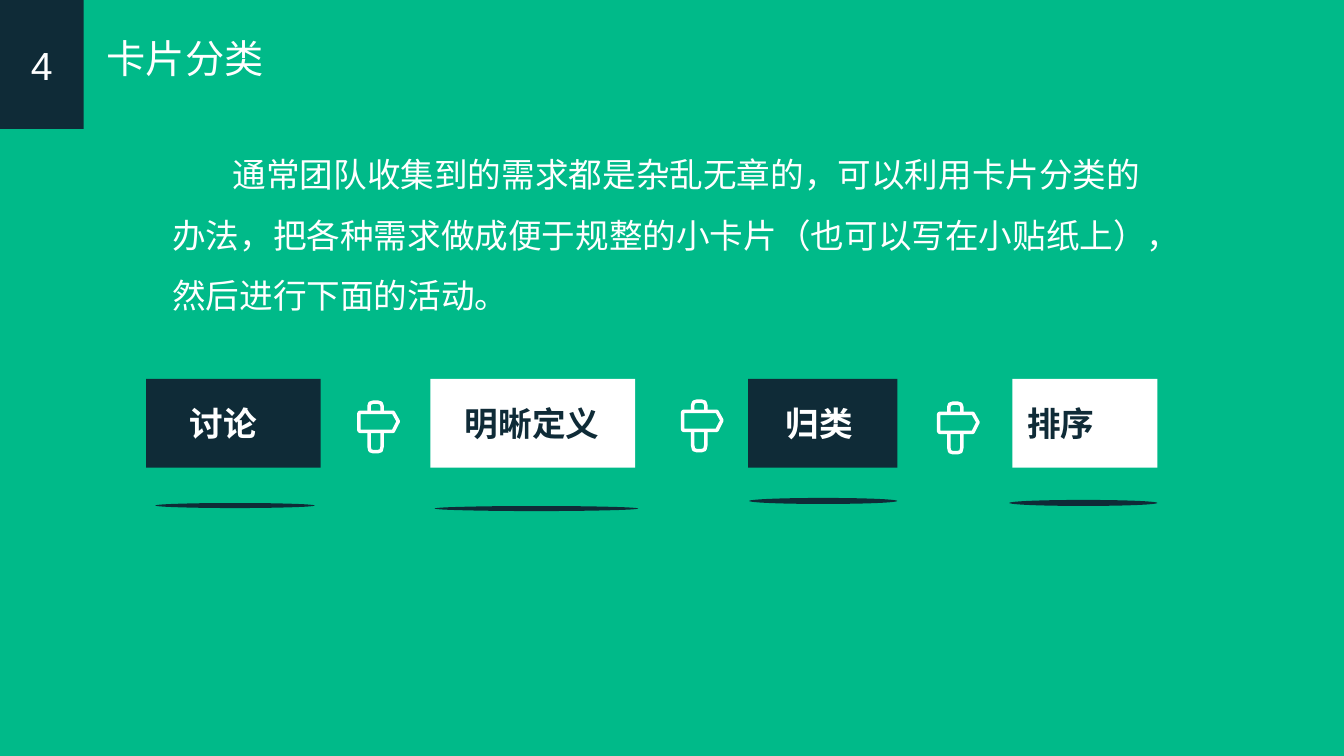
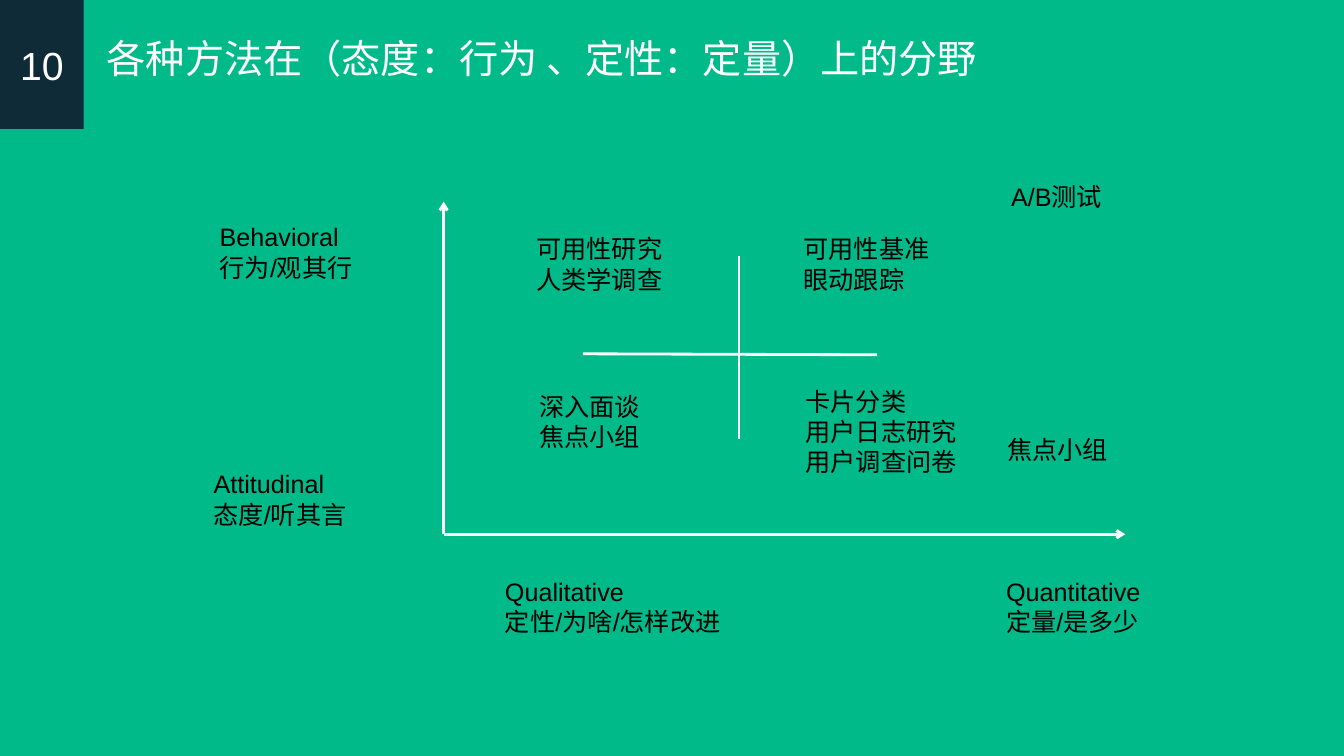
from dataclasses import dataclass

from pptx import Presentation, util as u
from pptx.dml.color import RGBColor as Rgb
from pptx.enum import shapes as es, text as et
from pptx.oxml.ns import qn
from lxml import etree


@dataclass(frozen=True)
class Theme:
    back: Rgb = Rgb(0x00, 0xBA, 0x89)
    dark: Rgb = Rgb(0x0F, 0x2B, 0x37)
    white: Rgb = Rgb(0xFF, 0xFF, 0xFF)
    black: Rgb = Rgb(0, 0, 0)
    font: str = "Arial"
    head: int = 28
    body: int = 24
    note: int = 18
    line: float = 2


T = Theme()
IN = u.Inches
KIND = es.MSO_SHAPE

# Content: heading number, title
SORT = ("4", "卡片分类", 3.57)
MAP = ("10", "各种方法在（态度：行为 、定性：定量）上的分野", 9.38)

INTRO = ("通常团队收集到的需求都是杂乱无章的，可以利用卡片分类的办法，"
         "把各种需求做成便于规整的小卡片（也可以写在小贴纸上），然后进行下面的活动。")

# label, card left, card width, text inset, shade (left, top, width, height)
CARDS = [
    ("讨论", 1.45, 1.73, 0.43, (1.54, 4.99, 1.58, 0.05)),
    ("明晰定义", 4.27, 2.03, 0.34, (4.31, 5.02, 2.02, 0.05)),
    ("归类", 7.42, 1.48, 0.37, (7.43, 4.94, 1.47, 0.06)),
    ("排序", 10.04, 1.44, 0.15, (10.01, 4.96, 1.47, 0.06)),
]
CARD_Y, CARD_H = 3.76, 0.88
SIGNS = [(3.54, 3.97), (6.75, 3.96), (9.29, 3.98)]

# Signpost strokes in hundredths of an inch: cap, board, post
STROKES = [
    ([(12, 12), (12, 6), (13, 3), (16, 2), (21, 2), (24, 3), (25, 6), (25, 12)], False),
    ([(3, 12), (36, 12), (41, 21), (36, 31), (3, 31), (2, 30), (2, 13)], True),
    ([(12, 31), (12, 46), (13, 50), (16, 51), (21, 51), (24, 50), (25, 46), (25, 31)], False),
]

# left, top, width, lines
NOTES = [
    (5.22, 2.27, 1.9, ["可用性研究", "人类学调查"]),
    (7.87, 2.27, 1.9, ["可用性基准", "眼动跟踪"]),
    (5.25, 3.83, 1.9, ["深入面谈", "焦点小组"]),
    (7.89, 3.78, 1.9, ["卡片分类", "用户日志研究", "用户调查问卷"]),
    (2.08, 2.15, 1.74, ["Behavioral", "行为/观其行"]),
    (2.02, 4.6, 1.9, ["Attitudinal", "态度/听其言"]),
    (4.91, 5.67, 2.61, ["Qualitative", "定性/为啥/怎样改进"]),
    (9.88, 5.67, 1.9, ["Quantitative", "定量/是多少"]),
    (9.93, 1.75, 1.46, ["A/B测试"]),
    (9.89, 4.26, 1.56, ["焦点小组"]),
]
ZERO = (4.4, 5.3)
# start, end, arrow
LINES = [
    (ZERO, (11.16, 5.3), True),
    (ZERO, (4.4, 2), True),
    ((5.78, 3.51), (8.7, 3.52), False),
    ((7.33, 2.54), (7.33, 4.36), False),
]


# Shared helpers
def write(para, words, size, color, bold=False):
    run = para.add_run()
    run.text = words
    font = run.font
    font.name, font.size, font.bold = T.font, u.Pt(size), bold
    font.color.rgb = color


def block(slide, kind, box, color):
    part = slide.shapes.add_shape(kind, *map(IN, box))
    part.shadow.inherit = False
    part.fill.solid()
    part.fill.fore_color.rgb = color
    part.line.fill.background()
    return part


def label(slide, box, lines, size, color):
    frame = slide.shapes.add_textbox(*map(IN, box)).text_frame
    frame.word_wrap = True
    for i, words in enumerate(lines):
        para = frame.add_paragraph() if i else frame.paragraphs[0]
        write(para, words, size, color)
    return frame


def rule(slide, start, end, arrow):
    line = slide.shapes.add_connector(
        es.MSO_CONNECTOR.STRAIGHT, *map(IN, start + end))
    line.line.color.rgb = T.white
    line.line.width = u.Pt(T.line)
    if arrow:
        etree.SubElement(line.line._get_or_add_ln(), qn("a:tailEnd"), type="arrow")
    etree.SubElement(line._element.spPr, qn("a:effectLst"))


def sign(slide, left, top):
    pen = None
    for dots, close in STROKES:
        if pen is None:
            pen = slide.shapes.build_freeform(*dots[0], scale=IN(0.01))
        else:
            pen.move_to(*dots[0])
        pen.add_line_segments(dots[1:], close=close)
    icon = pen.convert_to_shape(IN(left), IN(top))
    icon.shadow.inherit = False
    icon.fill.background()
    icon.line.color.rgb = T.white
    icon.line.width = u.Pt(2.5)


def page(deck, num, title, width):
    slide = deck.slides.add_slide(deck.slide_layouts[5])
    head = slide.shapes.title
    head.left, head.top, head.width, head.height = map(IN, (0.96, 0.29, width, 0.57))
    frame = head.text_frame
    frame.vertical_anchor = et.MSO_ANCHOR.TOP
    frame.auto_size = et.MSO_AUTO_SIZE.NONE
    frame.paragraphs[0].alignment = et.PP_ALIGN.LEFT
    write(frame.paragraphs[0], title, T.head, T.white)
    tab = block(slide, KIND.RECTANGLE, (0, 0, 0.83, 1.28), T.dark).text_frame
    tab.margin_left = tab.margin_right = 0
    tab.vertical_anchor = et.MSO_ANCHOR.MIDDLE
    tab.paragraphs[0].alignment = et.PP_ALIGN.CENTER
    write(tab.paragraphs[0], num, T.head, T.white)
    return slide


# Slides
def sorting(deck):
    slide = page(deck, *SORT)
    para = label(slide, (1.61, 1.28, 9.99, 1.85), [INTRO], T.body, T.white).paragraphs[0]
    para.line_spacing = 1.5
    para._p.get_or_add_pPr().set("indent", str(IN(0.6)))
    for i, (words, left, width, inset, shade) in enumerate(CARDS):
        fill, ink = (T.white, T.dark) if i % 2 else (T.dark, T.white)
        card = block(slide, KIND.RECTANGLE, (left, CARD_Y, width, CARD_H), fill)
        frame = card.text_frame
        frame.margin_left, frame.margin_right = IN(inset), 0
        frame.vertical_anchor = et.MSO_ANCHOR.MIDDLE
        frame.paragraphs[0].alignment = et.PP_ALIGN.LEFT
        write(frame.paragraphs[0], words, T.body, ink, True)
        block(slide, KIND.OVAL, shade, T.dark)
    for spot in SIGNS:
        sign(slide, *spot)


def mapping(deck):
    slide = page(deck, *MAP)
    for line in LINES:
        rule(slide, *line)
    for left, top, width, lines in NOTES:
        high = 0.1 + 0.3 * len(lines)
        label(slide, (left, top, width, high), lines, T.note, T.black)


def main():
    deck = Presentation()
    deck.slide_width, deck.slide_height = IN(13.33), IN(7.5)
    fill = deck.slide_master.background.fill
    fill.solid()
    fill.fore_color.rgb = T.back
    sorting(deck)
    mapping(deck)
    deck.save("out.pptx")


if __name__ == "__main__":
    main()
